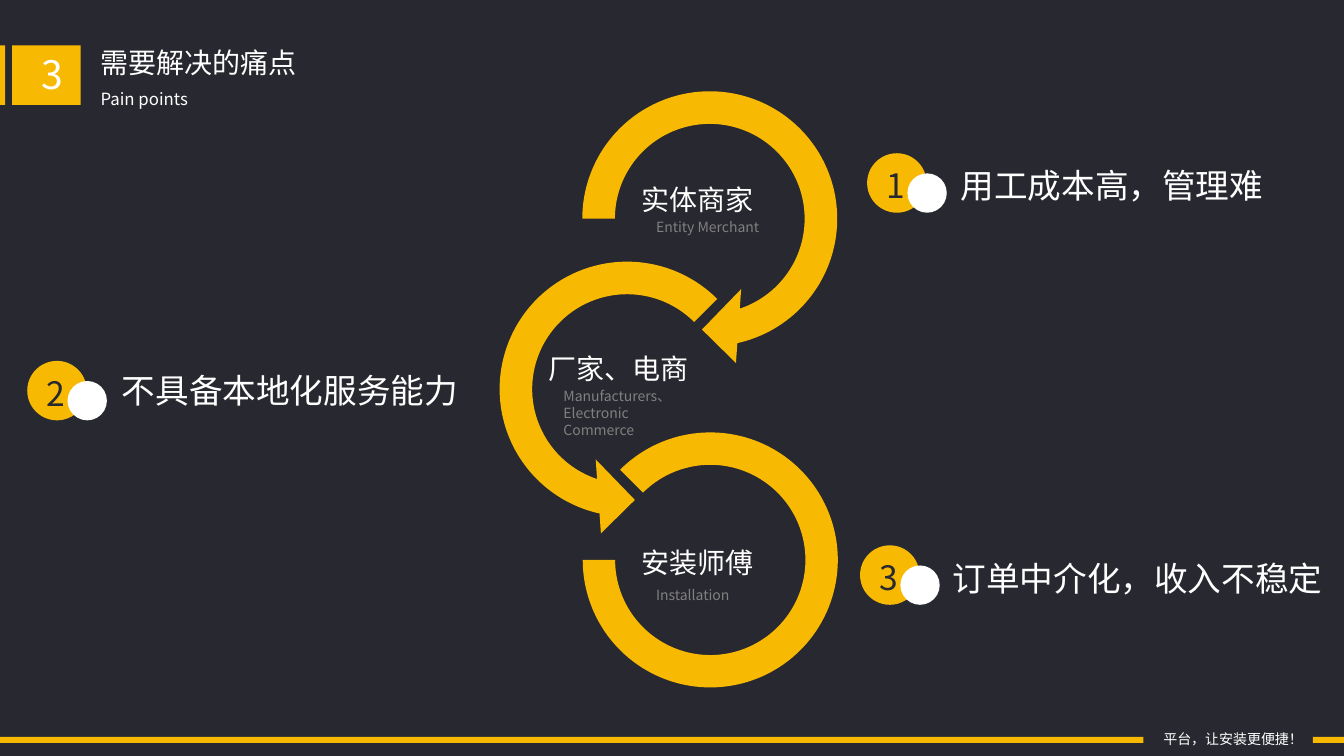
from dataclasses import dataclass

from lxml import etree
from pptx import Presentation
from pptx.dml.color import RGBColor
from pptx.enum.shapes import MSO_SHAPE
from pptx.enum.text import PP_ALIGN
from pptx.oxml.ns import qn
from pptx.util import Inches, Pt

RECT = MSO_SHAPE.RECTANGLE
OVAL = MSO_SHAPE.OVAL
ARROW = MSO_SHAPE.CIRCULAR_ARROW
LEFT_ARROW = MSO_SHAPE.LEFT_CIRCULAR_ARROW
ARC = MSO_SHAPE.BLOCK_ARC
LEFT, CENTER, RIGHT = PP_ALIGN.LEFT, PP_ALIGN.CENTER, PP_ALIGN.RIGHT


@dataclass(frozen=True)
class Theme:
    font: str = "Noto Sans CJK SC"
    dark: RGBColor = RGBColor(0x28, 0x28, 0x30)
    gold: RGBColor = RGBColor(0xF7, 0xB9, 0x02)
    white: RGBColor = RGBColor(0xFF, 0xFF, 0xFF)
    gray: RGBColor = RGBColor(0x80, 0x80, 0x80)
    section: int = 28
    pain: int = 24
    heading: int = 20
    subtitle: int = 12
    small: int = 10


THEME = Theme()


def add_filled(s, kind, x, y, w, h, color=THEME.gold, adjustments=()):
    sp = s.shapes.add_shape(kind, Inches(x), Inches(y), Inches(w), Inches(h))
    for i, value in enumerate(adjustments):
        sp.adjustments[i] = value
    sp.shadow.inherit = False
    sp.fill.solid()
    sp.fill.fore_color.rgb = color
    sp.line.fill.background()


def add_text(s, text, x, y, w, h, size, color=THEME.white, align=LEFT, wrap=True):
    box = s.shapes.add_textbox(Inches(x), Inches(y), Inches(w), Inches(h))
    tf = box.text_frame
    tf.word_wrap = wrap
    tf.text = text
    p = tf.paragraphs[0]
    p.alignment = align
    r = p.runs[0]
    r.font.size = Pt(size)
    r.font.color.rgb = color
    r.font.name = THEME.font
    etree.SubElement(r.font._element, qn("a:ea")).set("typeface", THEME.font)


def add_header(s, number, title, subtitle):
    add_text(s, title, 0.9, 0.4, 3.96, 0.44, THEME.heading)
    add_text(s, subtitle, 0.9, 0.83, 6.67, 0.3, THEME.subtitle)
    add_filled(s, RECT, 0, 0.45, 0.05, 0.59)
    add_filled(s, RECT, 0.12, 0.45, 0.68, 0.59)
    add_text(s, number, 0.31, 0.45, 0.3, 0.59, THEME.section, align=CENTER)


def add_footer(s, slogan):
    add_filled(s, RECT, 0, 7.31, 11.34, 0.06)
    add_filled(s, RECT, 13.02, 7.31, 0.31, 0.06)
    add_text(s, slogan, 11.44, 7.2, 1.6, 0.27, THEME.small, wrap=False)


def add_stage(s, name, english, x, y, gap, width):
    add_text(s, name, x, y, 1.9, 0.44, THEME.heading)
    add_text(s, english, x + 0.15, y + gap, width, 0.27, THEME.small, THEME.gray)


def add_pain(s, number, text, x, y, label_dx, label_dy, align):
    add_text(s, text, x + label_dx, y + label_dy, 3.9, 0.5, THEME.pain, align=align)
    add_filled(s, OVAL, x, y, 0.59, 0.59)
    add_filled(s, OVAL, x + 0.4, y + 0.2, 0.39, 0.39, THEME.white)
    add_text(s, number, x + 0.09, y + 0.07, 0.59, 0.5, THEME.pain, THEME.dark)


def main():
    prs = Presentation()
    prs.slide_width, prs.slide_height = Inches(13.33), Inches(7.5)
    s = prs.slides.add_slide(prs.slide_layouts[6])
    s.background.fill.solid()
    s.background.fill.fore_color.rgb = THEME.dark

    add_footer(s, "平台，让安装更便捷！")
    add_header(s, "3", "需要解决的痛点", "Pain points")

    rings = [
        (ARROW, 5.57, 0.7, 2.94, (0.11, 11.42, 45, 108, 0.125)),
        (LEFT_ARROW, 4.75, 2.39, 2.94, (0.11, 11.42, 63, 189, 0.125)),
        (ARC, 5.78, 4.29, 2.53, (135, 108, 0.127)),
    ]
    for kind, x, y, size, adjustments in rings:
        add_filled(s, kind, x, y, size, size, adjustments=adjustments)

    stages = [
        ("实体商家", "Entity Merchant", 6.26, 1.76, 0.36, 1.36),
        ("厂家、电商", "Manufacturers、Electronic Commerce", 5.34, 3.44, 0.36, 1.36),
        ("安装师傅", "Installation", 6.26, 5.36, 0.41, 1.5),
    ]
    for stage in stages:
        add_stage(s, *stage)

    pains = [
        ("1", "用工成本高，管理难", 8.6, 1.52, 0.83, 0.07, LEFT),
        ("2", "不具备本地化服务能力", 0.27, 3.58, 0.47, 0.04, RIGHT),
        ("3", "订单中介化，收入不稳定", 8.53, 5.41, 0.82, 0.08, LEFT),
    ]
    for pain in pains:
        add_pain(s, *pain)

    prs.save("out.pptx")


if __name__ == "__main__":
    main()
